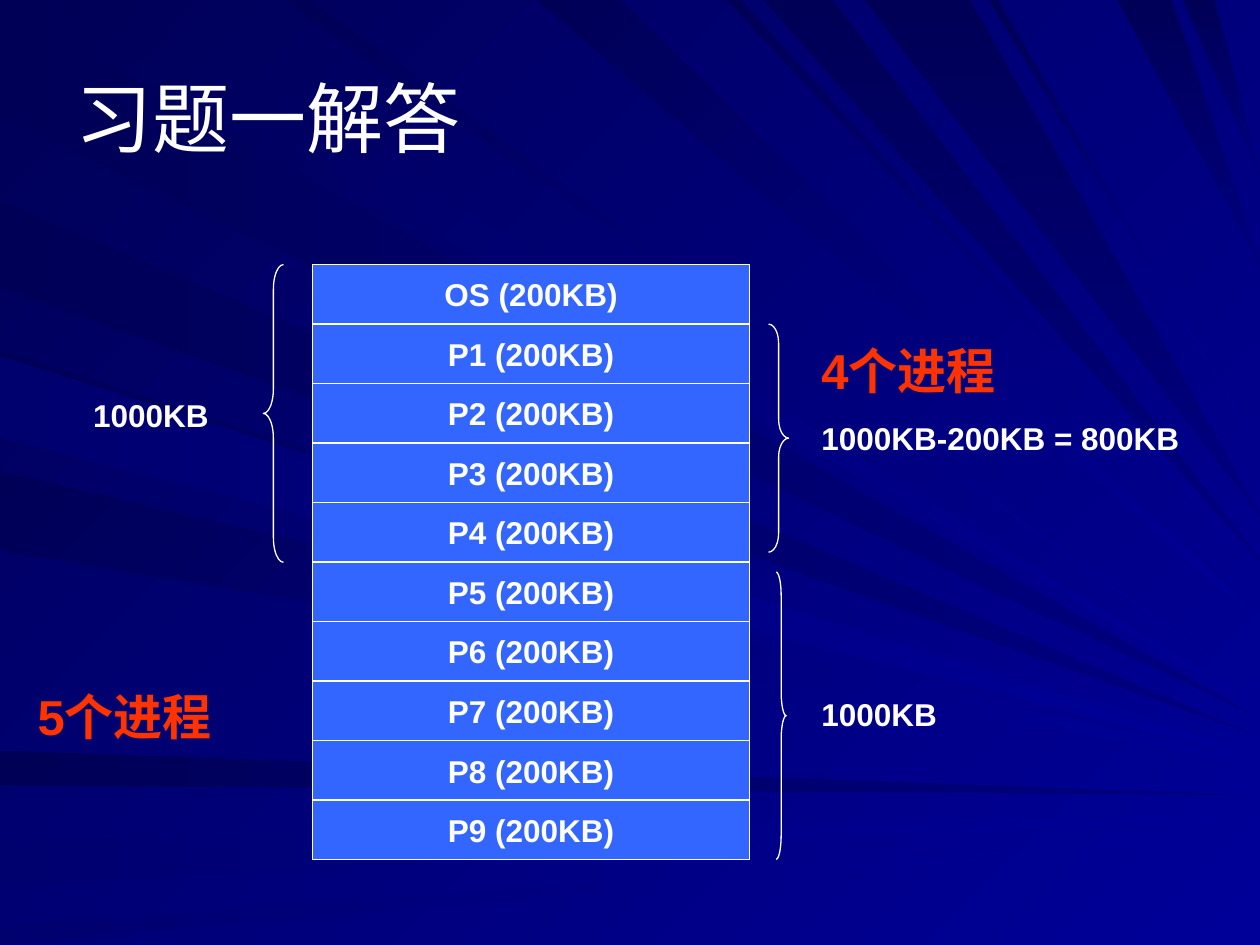
from dataclasses import dataclass
from typing import Any, NamedTuple

from pptx import Presentation
from pptx.dml.color import RGBColor as Rgb
from pptx.enum.shapes import MSO_SHAPE as Kind
from pptx.enum.text import MSO_ANCHOR as Anchor, MSO_AUTO_SIZE as Fit, PP_ALIGN as Align
from pptx.util import Inches, Pt


@dataclass(frozen=True)
class Theme:
    font: str = "Arial"
    white: str = "FFFFFF"
    red: str = "FF3300"
    block: str = "3366FF"
    glow: str = "000099"
    mid: str = "000080"
    deep: str = "000057"
    title: int = 44
    large: int = 28
    small: int = 18
    line: float = 0.74


class Ray(NamedTuple):
    near: float
    far: float
    tip: float


class Fan(NamedTuple):
    top: bool
    start: str
    end: str
    turn: int
    rays: list[Ray]


class Box(NamedTuple):
    col: float
    row: float
    wide: float
    high: float


class Label(NamedTuple):
    text: str
    col: float
    row: float
    wide: float
    size: int
    tint: str


class Brace(NamedTuple):
    kind: Any
    box: Box


LOOK = Theme()
COLS, ROWS = 10, 7.5
CELL = Inches(1)
LEFT, TOP, WIDE, HIGH = 2.48, 2.1, 3.47, 0.47
STEP = HIGH + 0.0025
SIDE = 6.42
SLANT, FLAT, DOWN = 135, 180, 270

FANS = [
    Fan(False, LOOK.mid, LOOK.deep, FLAT, [
        Ray(0.02, 0.93, 5.7), Ray(1.59, 2.28, 5.85), Ray(5.96, 6.23, 6.31),
    ]),
    Fan(True, LOOK.glow, LOOK.deep, SLANT, [
        Ray(0.26, 1.01, 5.62), Ray(2.25, 2.47, 5.5), Ray(4.26, 4.92, 4.93),
        Ray(5.77, 5.88, 4.54), Ray(7.85, 7.92, 3.57),
    ]),
    Fan(True, LOOK.deep, LOOK.mid, DOWN, [
        Ray(6.06, 6.61, 4.45), Ray(6.86, 7.7, 4.09), Ray(8.87, 9.3, 2.1), Ray(9.39, 9.64, 1.4),
    ]),
    Fan(False, LOOK.glow, LOOK.deep, SLANT, [
        Ray(2.78, 3.42, 5.99), Ray(3.74, 4.37, 6.06),
    ]),
    Fan(False, LOOK.glow, "00006E", FLAT, [
        Ray(6.65, 7.04, 6.47), Ray(7.35, 7.5, 6.62), Ray(2.83, 3.47, 6.03),
    ]),
]

BLOCKS = ["OS", *(f"P{n}" for n in range(1, 10))]

BRACES = [
    Brace(Kind.RIGHT_BRACE, Box(6.1, TOP + STEP, 0.16, 1.81)),
    Brace(Kind.LEFT_BRACE, Box(2.09, TOP, 0.16, 5 * STEP)),
    Brace(Kind.RIGHT_BRACE, Box(6.16, 4.54, 0.08, 2.28)),
]

LABELS = [
    Label("习题一解答", 0.5, 0.3, 9, LOOK.title, LOOK.white),
    Label("1000KB-200KB = 800KB", SIDE, 3.28, 3.07, LOOK.small, LOOK.white),
    Label("1000KB", 0.64, 3.09, 1.26, LOOK.small, LOOK.white),
    Label("1000KB", SIDE, 5.47, 1.18, LOOK.small, LOOK.white),
    Label("4个进程", SIDE, 2.65, 1.81, LOOK.large, LOOK.red),
    Label("5个进程", 0.2, 5.4, 1.65, LOOK.large, LOOK.red),
]


def apply(item: Any, form: dict[str, Any]) -> None:
    for name, value in form.items():
        setattr(item, name, value)


def place(parts: tuple[float, ...]) -> tuple[int, ...]:
    return tuple(round(part * CELL) for part in parts)


def tone(fill: Any, tint: str) -> None:
    fill.solid()
    fill.fore_color.rgb = Rgb.from_string(tint)


def blend(fill: Any, start: str, end: str, turn: int) -> None:
    fill.gradient()
    fill.gradient_angle = turn
    for stop, tint in zip(fill.gradient_stops, (start, end)):
        stop.color.rgb = Rgb.from_string(tint)


def edge(shape: Any) -> None:
    shape.shadow.inherit = False
    tone(shape.line.fill, LOOK.white)
    shape.line.width = Pt(LOOK.line)


def write(frame: Any, text: str, size: int, tint: str, form: dict[str, Any]) -> None:
    para = frame.paragraphs[0]
    run = para.add_run()
    run.text = text
    apply(para, form)
    apply(run.font, {"name": LOOK.font, "size": Pt(size), "bold": size != LOOK.title})
    run.font.color.rgb = Rgb.from_string(tint)


def draw_ray(shapes: Any, fan: Fan, ray: Ray) -> None:
    ends = [place((part, 0) if fan.top else (0, part)) for part in (ray.near, ray.far)]
    pen = shapes.build_freeform(*place((COLS, ray.tip)), scale=1.0)
    pen.add_line_segments(ends, close=True)
    shape = pen.convert_to_shape()
    shape.shadow.inherit = False
    blend(shape.fill, fan.start, fan.end, fan.turn)
    shape.line.fill.background()


def draw_block(shapes: Any, row: int, name: str) -> None:
    shape = shapes.add_shape(Kind.RECTANGLE, *place(Box(LEFT, TOP + row * STEP, WIDE, HIGH)))
    edge(shape)
    tone(shape.fill, LOOK.block)
    apply(shape.text_frame, {"word_wrap": False, "vertical_anchor": Anchor.MIDDLE})
    write(shape.text_frame, f"{name} (200KB)", LOOK.small, LOOK.white, {"alignment": Align.CENTER})


def draw_brace(shapes: Any, brace: Brace) -> None:
    shape = shapes.add_shape(brace.kind, *place(brace.box))
    edge(shape)
    shape.fill.background()
    shape.adjustments[0] = brace.box.high / 12 / brace.box.wide


def draw_label(shapes: Any, label: Label) -> None:
    title = label.size == LOOK.title
    high = 1.25 if title else label.size / 45
    box = Box(label.col, label.row, label.wide, high)
    frame = shapes.add_textbox(*place(box)).text_frame
    apply(frame, {
        "word_wrap": True,
        "auto_size": Fit.NONE if title else Fit.SHAPE_TO_FIT_TEXT,
        "vertical_anchor": Anchor.MIDDLE if title else Anchor.TOP,
    })
    gap = 0 if title else label.size * 0.62
    write(frame, label.text, label.size, label.tint, {"space_before": Pt(gap)})


deck = Presentation()
apply(deck, {"slide_width": round(COLS * CELL), "slide_height": round(ROWS * CELL)})
slide = deck.slides.add_slide(deck.slide_layouts[6])
blend(slide.background.fill, LOOK.glow, LOOK.deep, SLANT)
for fan in FANS:
    for ray in fan.rays:
        draw_ray(slide.shapes, fan, ray)
for row, name in enumerate(BLOCKS):
    draw_block(slide.shapes, row, name)
for brace in BRACES:
    draw_brace(slide.shapes, brace)
for label in LABELS:
    draw_label(slide.shapes, label)
deck.save("out.pptx")
